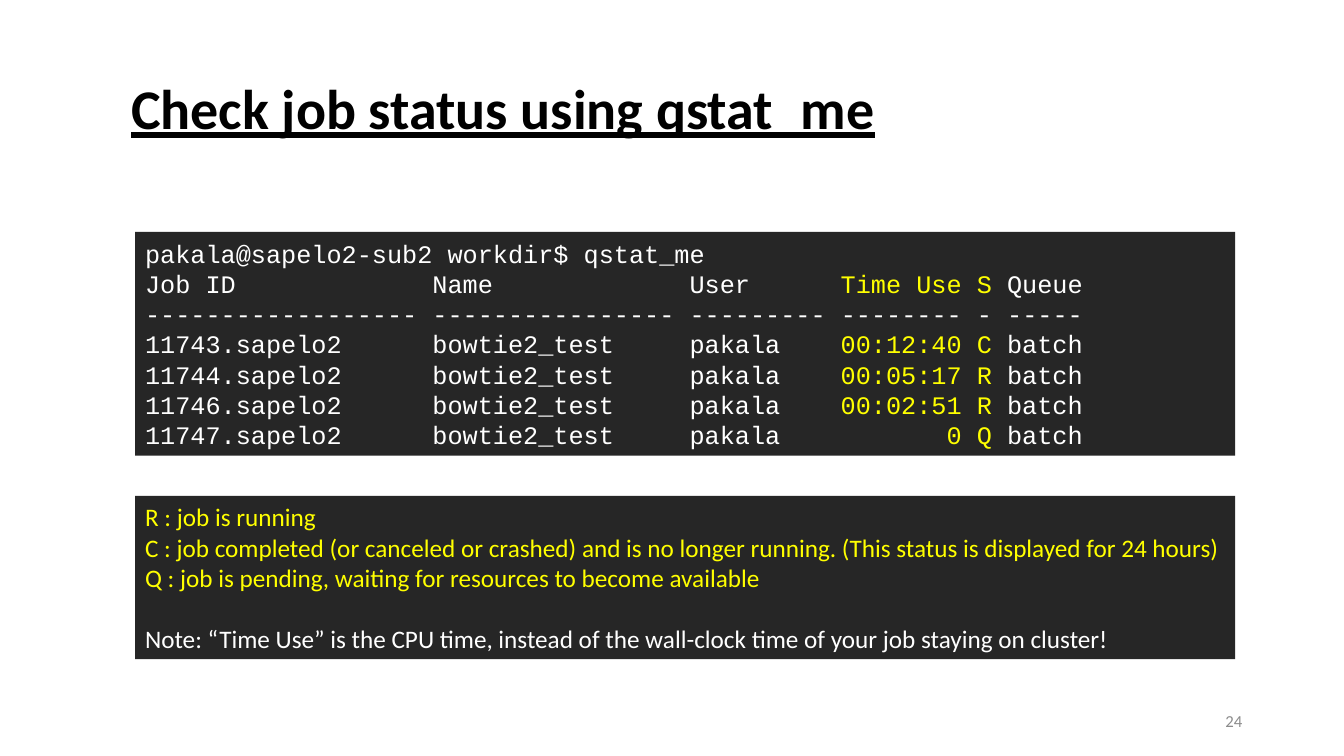
from lxml import etree
from pptx import Presentation
from pptx import util as u
from pptx.dml.color import RGBColor
from pptx.enum import shapes, text
from pptx.oxml import ns

COLOURS = {"title": "000000", "panel": "262626", "plain": "FFFFFF",
           "accent": "FFFF00", "number": "8C8C8C"}
CHAR_WIDTH = 0.15
TAB_STOPS = [(19, "l"), (36, "l"), (56, "r"), (57, "l")]
PROMPT = "pakala@sapelo2-sub2 workdir$ qstat_me"
HEADER = ("Job ID", "Name", "User", "Time Use S", "Queue")
RULE = "------------------ ---------------- --------- -------- - -----"
JOBS = [("11743", "00:12:40 C"), ("11744", "00:05:17 R"),
        ("11746", "00:02:51 R"), ("11747", "0 Q")]
STATES = [
    "R : job is running",
    "C : job completed (or canceled or crashed) and is no longer running. "
    "(This status is displayed for 24 hours)",
    "Q : job is pending, waiting for resources to become available",
]
NOTE = ("Note: “Time Use” is the CPU time, instead of the wall-clock time "
        "of your job staying on cluster!")


def add_span(para, words, colour, **formats):
    """Add a formatted run to a paragraph."""
    span = para.add_run()
    span.text = words
    values = {"name": "Calibri", "size": u.Pt(18), **formats}
    for name, value in values.items():
        setattr(span.font, name, value)
    span.font.color.rgb = RGBColor.from_string(COLOURS[colour])


def add_lines(frame, lines, **formats):
    """Write each line, a list of (words, colour) pairs, as a paragraph."""
    for index, line in enumerate(lines):
        para = frame.add_paragraph() if index else frame.paragraphs[0]
        para.alignment = text.PP_ALIGN.LEFT
        for words, colour in line:
            add_span(para, words, colour, **formats)


def add_panel(page, box):
    """Draw a dark panel and return its text frame."""
    panel = page.shapes.add_shape(shapes.MSO_SHAPE.RECTANGLE,
                                  *map(u.Inches, box))
    panel.shadow.inherit = False
    panel.fill.solid()
    panel.fill.fore_color.rgb = RGBColor.from_string(COLOURS["panel"])
    panel.line.fill.background()
    frame = panel.text_frame
    frame.word_wrap = True
    frame.vertical_anchor = text.MSO_ANCHOR.MIDDLE
    return frame


def set_tabs(para):
    """Give a paragraph the column stops of the job listing."""
    tabs = etree.SubElement(para._p.get_or_add_pPr(), ns.qn("a:tabLst"))
    for column, side in TAB_STOPS:
        position = u.Inches(column * CHAR_WIDTH)
        etree.SubElement(tabs, ns.qn("a:tab"), pos=str(position), algn=side)


def add_terminal(page, box):
    """Show the job listing as terminal output."""
    frame = add_panel(page, box)
    rows = [HEADER] + [(f"{job}.sapelo2", "bowtie2_test", "pakala", usage, "batch")
                       for job, usage in JOBS]
    lines = [[("\t".join(row[:3]) + "\t", "plain"), (row[3], "accent"),
              ("\t" + row[4], "plain")] for row in rows]
    lines = [[(PROMPT, "plain")], lines[0], [(RULE, "plain")], *lines[1:]]
    add_lines(frame, lines, name="Courier New")
    for para in frame.paragraphs:
        set_tabs(para)


def add_legend(page, box):
    """Explain the job states, with a note set apart below."""
    frame = add_panel(page, box)
    lines = [[(state, "accent")] for state in STATES]
    add_lines(frame, lines + [[(NOTE, "plain")]])
    frame.paragraphs[-1].space_before = u.Pt(22)


def add_title(page, box):
    """Place and format the title placeholder."""
    title = page.shapes.title
    for side, length in zip(("left", "top", "width", "height"), box):
        setattr(title, side, u.Inches(length))
    frame = title.text_frame
    frame.auto_size = text.MSO_AUTO_SIZE.NONE
    frame.vertical_anchor = text.MSO_ANCHOR.MIDDLE
    add_lines(frame, [[("Check job status using qstat_me", "title")]],
              size=u.Pt(40), bold=True, underline=True)
    frame.paragraphs[0].line_spacing = 0.9


def add_number(page, box):
    """Place the slide number at the lower right."""
    frame = page.shapes.add_textbox(*map(u.Inches, box)).text_frame
    frame.word_wrap = True
    frame.vertical_anchor = text.MSO_ANCHOR.MIDDLE
    add_lines(frame, [[("24", "number")]], size=u.Pt(12))
    frame.paragraphs[0].alignment = text.PP_ALIGN.RIGHT


def main():
    """Build the slide and save it."""
    deck = Presentation()
    deck.slide_width, deck.slide_height = u.Inches(13.33), u.Inches(7.5)
    page = deck.slides.add_slide(deck.slide_layouts[5])
    add_title(page, (1.2, 0.31, 11.47, 1.59))
    add_legend(page, (1.34, 4.92, 10.91, 1.62))
    add_terminal(page, (1.34, 2.3, 10.91, 2.22))
    add_number(page, (9.42, 6.95, 3, 0.4))
    deck.save("out.pptx")


if __name__ == "__main__":
    main()
